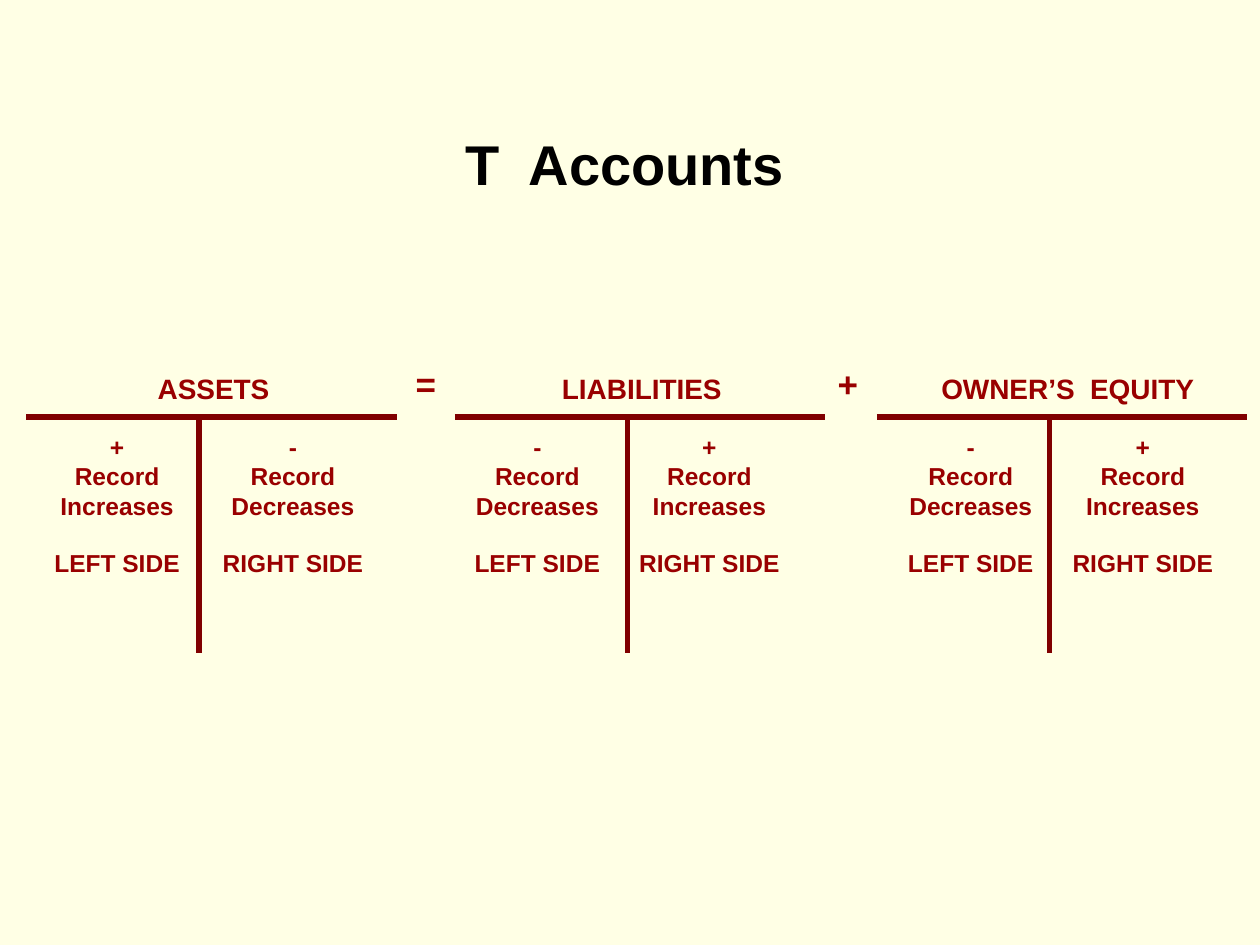
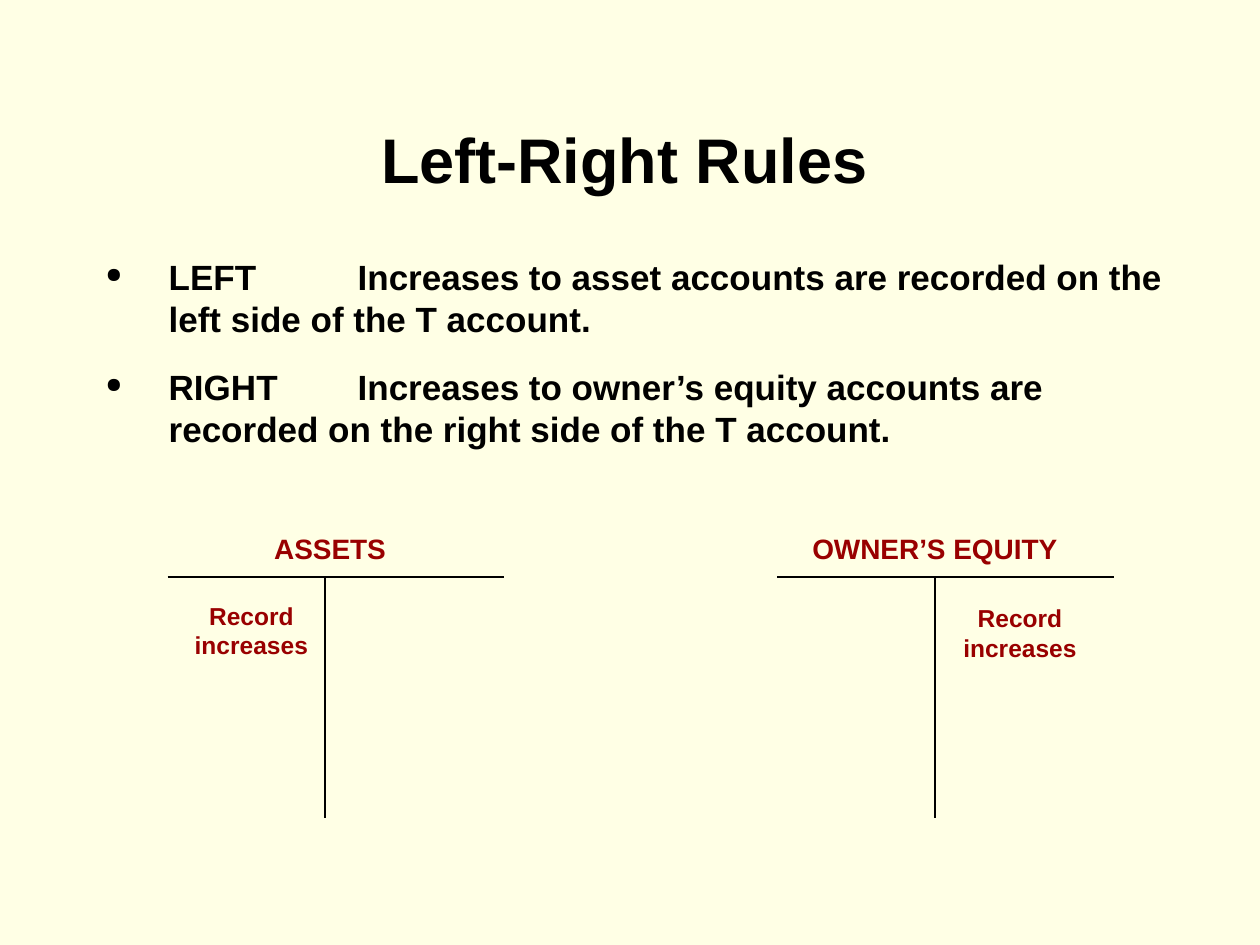
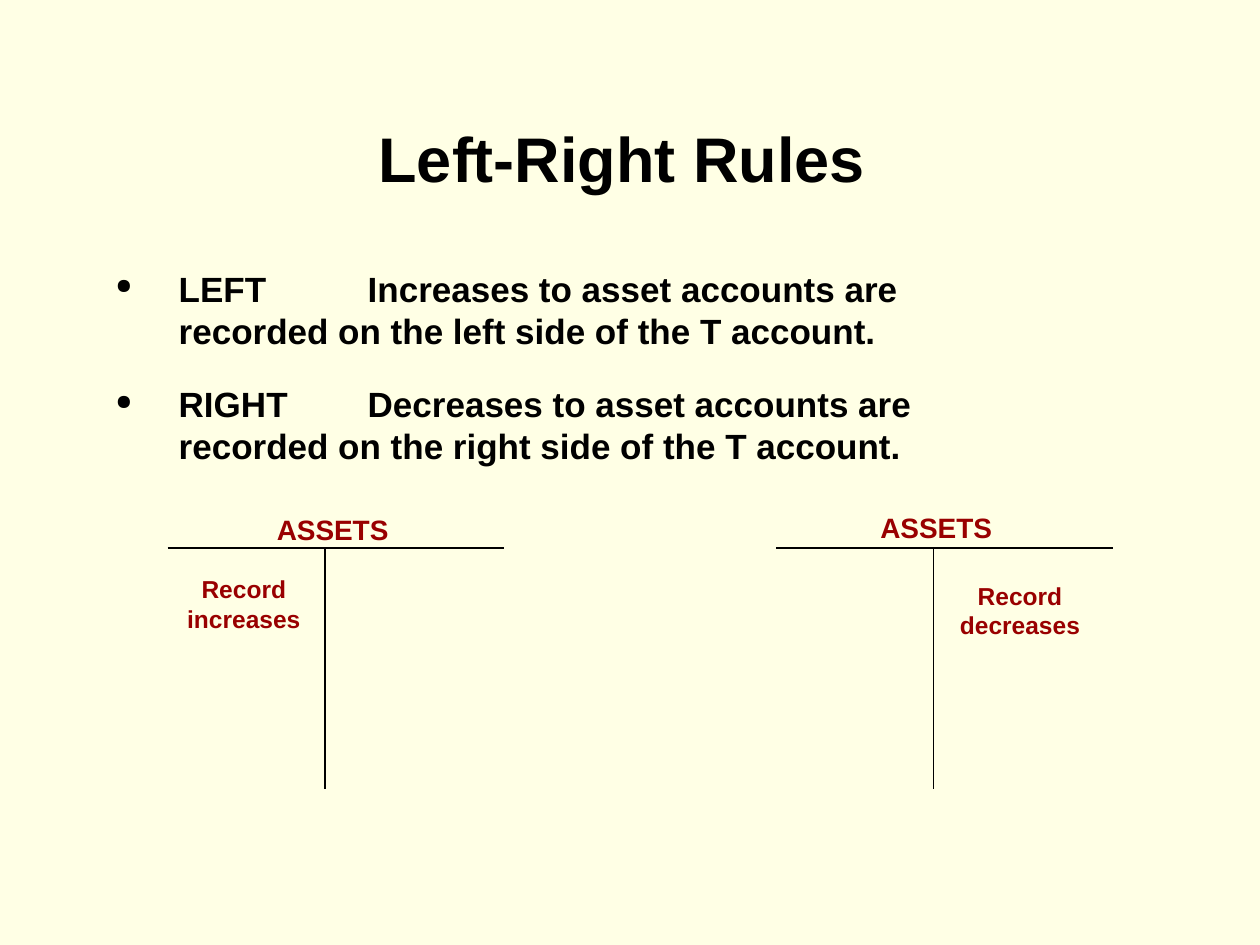
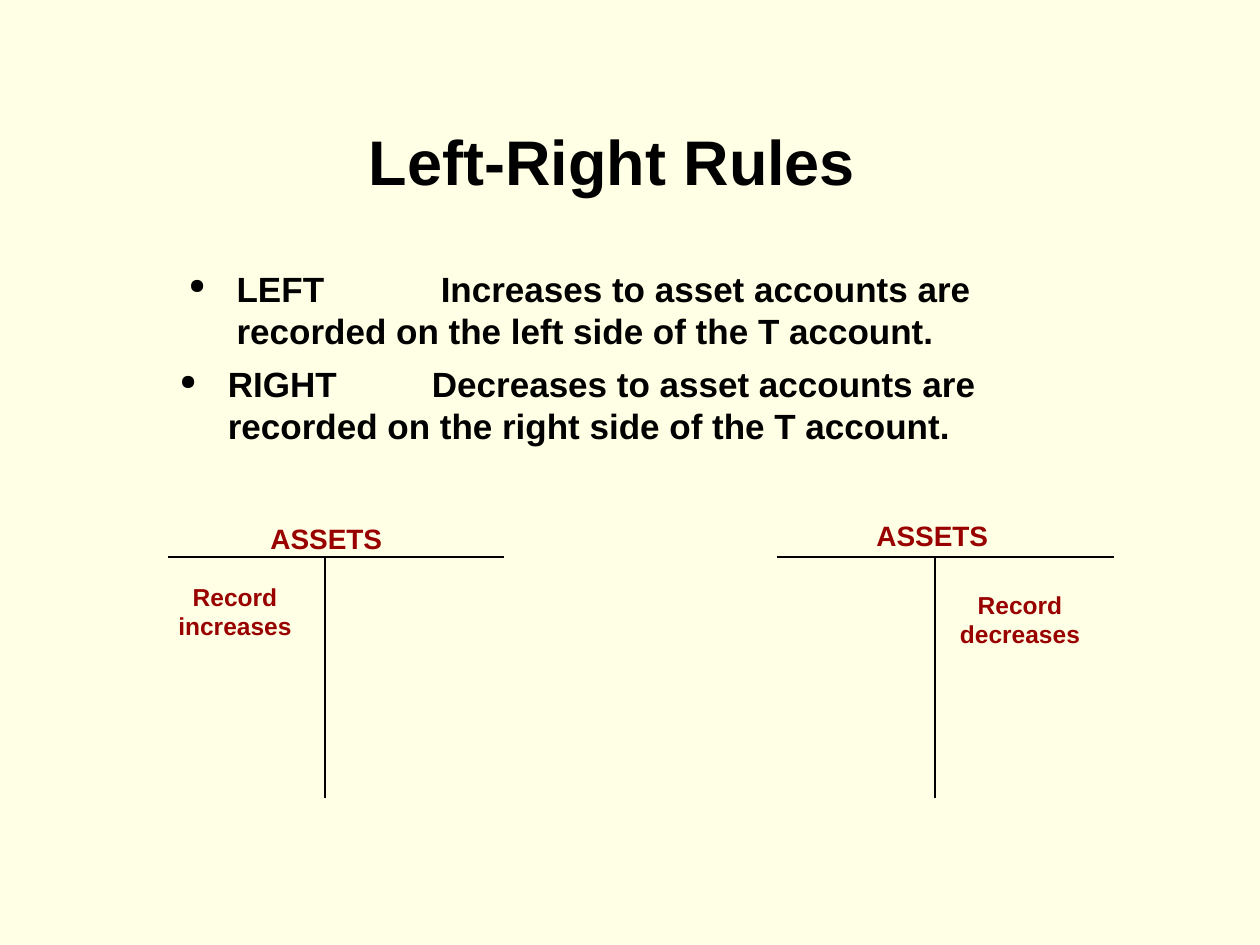
from dataclasses import dataclass

from lxml import etree
from pptx import Presentation
from pptx import util as u
from pptx.dml import color
from pptx.enum import shapes, text
from pptx.oxml import ns
from pptx.slide import Slide

LEFT = text.PP_ALIGN.LEFT
CENTER = text.PP_ALIGN.CENTER


@dataclass(frozen=True)
class Theme:
    font: str = "Arial"
    background: str = "FFFFE5"
    ink: str = "000000"
    accent: str = "990000"
    heavy_line: str = "800000"
    rule_title: int = 36
    opening_title: int = 32
    body: int = 20
    heading: int = 16
    entry: int = 14


THEME = Theme()


@dataclass(frozen=True)
class Label:
    words: str
    left: float
    top: float
    width: float
    height: float
    size: int
    ink: str = THEME.accent
    align: text.PP_ALIGN = CENTER
    wrap: bool = True


@dataclass(frozen=True)
class AccountStyle:
    bar: float
    stem_offset: float
    stem: float
    ink: str
    weight: float


HEAVY = AccountStyle(2.94, 1.37, 1.87, THEME.heavy_line, 3)
THIN = AccountStyle(2.67, 1.25, 1.91, THEME.ink, 0.75)


@dataclass(frozen=True)
class Entry:
    sign: str
    action: str
    side: str
    left: float
    width: float


@dataclass(frozen=True)
class EquationAccount:
    heading: str
    heading_left: float
    heading_width: float
    left: float
    entries: tuple[Entry, Entry]


@dataclass(frozen=True)
class RuleAccount:
    heading: str
    heading_left: float
    heading_top: float
    heading_width: float
    left: float
    entry: str
    entry_left: float
    entry_top: float


@dataclass(frozen=True)
class Rule:
    words: str
    left: float
    top: float


@dataclass(frozen=True)
class RuleSlide:
    title: Label
    rules: tuple[Rule, Rule]
    rule_width: float
    indent: float
    bar_top: float
    accounts: tuple[RuleAccount, RuleAccount]


def rule_title(left: float, top: float, width: float = 4.25,
               align: text.PP_ALIGN = CENTER) -> Label:
    return Label("Left-Right Rules", left, top, width, 0.7,
                 THEME.rule_title, THEME.ink, align)


EQUATION = (
    EquationAccount("ASSETS", 1.09, 1.21, 0.21, (
        Entry("+", "Increases", "LEFT SIDE", 0.28, 1.3),
        Entry("-", "Decreases", "RIGHT SIDE", 1.67, 1.31))),
    EquationAccount("LIABILITIES", 4.33, 1.53, 3.61, (
        Entry("-", "Decreases", "LEFT SIDE", 3.65, 1.23),
        Entry("+", "Increases", "RIGHT SIDE", 4.92, 1.42))),
    EquationAccount("OWNER’S  EQUITY", 7.31, 2.33, 6.96, (
        Entry("-", "Decreases", "LEFT SIDE", 7.09, 1.23),
        Entry("+", "Increases", "RIGHT SIDE", 8.36, 1.42))),
)

LEFT_ASSETS = ("LEFT\tIncreases to asset accounts are recorded on the "
               "left side of the T account.")
RIGHT_ASSETS = ("RIGHT\tDecreases to asset accounts are recorded on the "
                "right side of the T account.")
RIGHT_EQUITY = ("RIGHT\tIncreases to owner’s equity accounts are recorded on "
                "the right side of the T account.")

RULE_SLIDES = (
    RuleSlide(
        rule_title(2.83, 0.91),
        (Rule(LEFT_ASSETS, 0.74, 1.98), Rule(RIGHT_EQUITY, 0.74, 2.85)),
        8.59, 0.5, 4.58,
        (RuleAccount("ASSETS", 2.08, 4.17, 1.08, 1.33,
                     "Record increases", 1.25, 4.72),
         RuleAccount("OWNER’S EQUITY", 6.35, 4.17, 2.14, 6.17,
                     "Record increases", 7.35, 4.74))),
    RuleSlide(
        rule_title(2.81, 0.9),
        (Rule(LEFT_ASSETS, 0.82, 2.07), Rule(RIGHT_ASSETS, 0.82, 2.99)),
        7.6, 0.5, 4.35,
        (RuleAccount("ASSETS", 2.1, 4.02, 1.08, 1.33,
                     "Record increases", 1.19, 4.51),
         RuleAccount("ASSETS", 6.89, 4, 1.08, 6.16,
                     "Record decreases", 7.35, 4.56))),
    RuleSlide(
        rule_title(2.83, 0.92, 5.08, LEFT),
        (Rule(LEFT_ASSETS, 1.4, 2.07), Rule(RIGHT_ASSETS, 1.33, 2.83)),
        7.6, 0.38, 4.42,
        (RuleAccount("ASSETS", 2.05, 4.09, 1.08, 1.33,
                     "Record increases", 1.12, 4.57),
         RuleAccount("ASSETS", 6.86, 4.07, 1.08, 6.17,
                     "Record decreases", 7.35, 4.63))),
)


def add_label(page: Slide, label: Label):
    box = page.shapes.add_textbox(
        u.Inches(label.left), u.Inches(label.top),
        u.Inches(label.width), u.Inches(label.height))
    frame = box.text_frame
    frame.word_wrap = label.wrap
    if label.wrap:
        frame.auto_size = text.MSO_AUTO_SIZE.SHAPE_TO_FIT_TEXT
    else:
        frame.auto_size = text.MSO_AUTO_SIZE.NONE
        frame.margin_left = frame.margin_right = u.Inches(0)
    frame.text = label.words
    for para in frame.paragraphs:
        para.alignment = label.align
        for span in para.runs:
            span.font.name = THEME.font
            span.font.size = u.Pt(label.size)
            span.font.bold = True
            span.font.color.rgb = color.RGBColor.from_string(label.ink)
    return frame


def add_heading(page: Slide, words: str, left: float, top: float,
                width: float) -> None:
    add_label(page, Label(words, left, top, width, 0.37, THEME.heading,
                          wrap=False))


def add_account_lines(page: Slide, left: float, top: float,
                      style: AccountStyle) -> None:
    group = page.shapes.add_group_shape()
    stem_left = left + style.stem_offset
    for start_x, start_y, end_x, end_y in (
            (left, top, left + style.bar, top),
            (stem_left, top, stem_left, top + style.stem)):
        line = group.shapes.add_connector(
            shapes.MSO_CONNECTOR.STRAIGHT,
            u.Inches(start_x), u.Inches(start_y),
            u.Inches(end_x), u.Inches(end_y))
        line.line.color.rgb = color.RGBColor.from_string(style.ink)
        line.line.width = u.Pt(style.weight)
        etree.SubElement(line._element.spPr, ns.qn("a:effectLst"))


def add_rule(page: Slide, rule: Rule, width: float, indent: float) -> None:
    frame = add_label(page, Label(rule.words, rule.left, rule.top, width, 0.77,
                                  THEME.body, THEME.ink, LEFT))
    props = frame.paragraphs[0]._p.get_or_add_pPr()
    props.set("marL", str(u.Inches(indent)))
    props.set("indent", str(-u.Inches(indent)))
    bullet_color = etree.SubElement(props, ns.qn("a:buClr"))
    etree.SubElement(bullet_color, ns.qn("a:srgbClr"), val=THEME.ink)
    etree.SubElement(props, ns.qn("a:buSzPct"), val="60000")
    etree.SubElement(props, ns.qn("a:buChar"), char="●")
    tabs = etree.SubElement(props, ns.qn("a:tabLst"))
    etree.SubElement(tabs, ns.qn("a:tab"), pos=str(u.Inches(2)), algn="l")


def add_entry(page: Slide, entry: Entry) -> None:
    words = "\n".join((entry.sign, "Record", entry.action, entry.side))
    frame = add_label(page, Label(words, entry.left, 3.38, entry.width, 1.27,
                                  THEME.entry, wrap=False))
    frame.paragraphs[-1].space_before = u.Pt(16)


def add_page(deck) -> Slide:
    return deck.slides.add_slide(deck.slide_layouts[6])


def build_equation(deck) -> None:
    page = add_page(deck)
    add_label(page, Label("T  Accounts", 3.59, 0.98, 2.74, 0.64,
                          THEME.opening_title, THEME.ink, wrap=False))
    for account in EQUATION:
        add_account_lines(page, account.left, 3.31, HEAVY)
        add_heading(page, account.heading, account.heading_left, 2.9,
                    account.heading_width)
        for entry in account.entries:
            add_entry(page, entry)
    for operator, left in (("=", 3.2), ("+", 6.55)):
        add_label(page, Label(operator, left, 2.83, 0.67, 0.44, THEME.body,
                              align=LEFT))


def build_rules(deck, content: RuleSlide) -> None:
    page = add_page(deck)
    add_label(page, content.title)
    for account in content.accounts:
        add_account_lines(page, account.left, content.bar_top, THIN)
        add_heading(page, account.heading, account.heading_left,
                    account.heading_top, account.heading_width)
        add_label(page, Label(account.entry, account.entry_left,
                              account.entry_top, 1.49, 0.57, THEME.entry))
    for rule in content.rules:
        add_rule(page, rule, content.rule_width, content.indent)


def main() -> None:
    deck = Presentation()
    deck.slide_width = u.Inches(10)
    deck.slide_height = u.Inches(7.5)
    fill = deck.slide_master.background.fill
    fill.solid()
    fill.fore_color.rgb = color.RGBColor.from_string(THEME.background)
    build_equation(deck)
    for content in RULE_SLIDES:
        build_rules(deck, content)
    deck.save("out.pptx")


if __name__ == "__main__":
    main()
